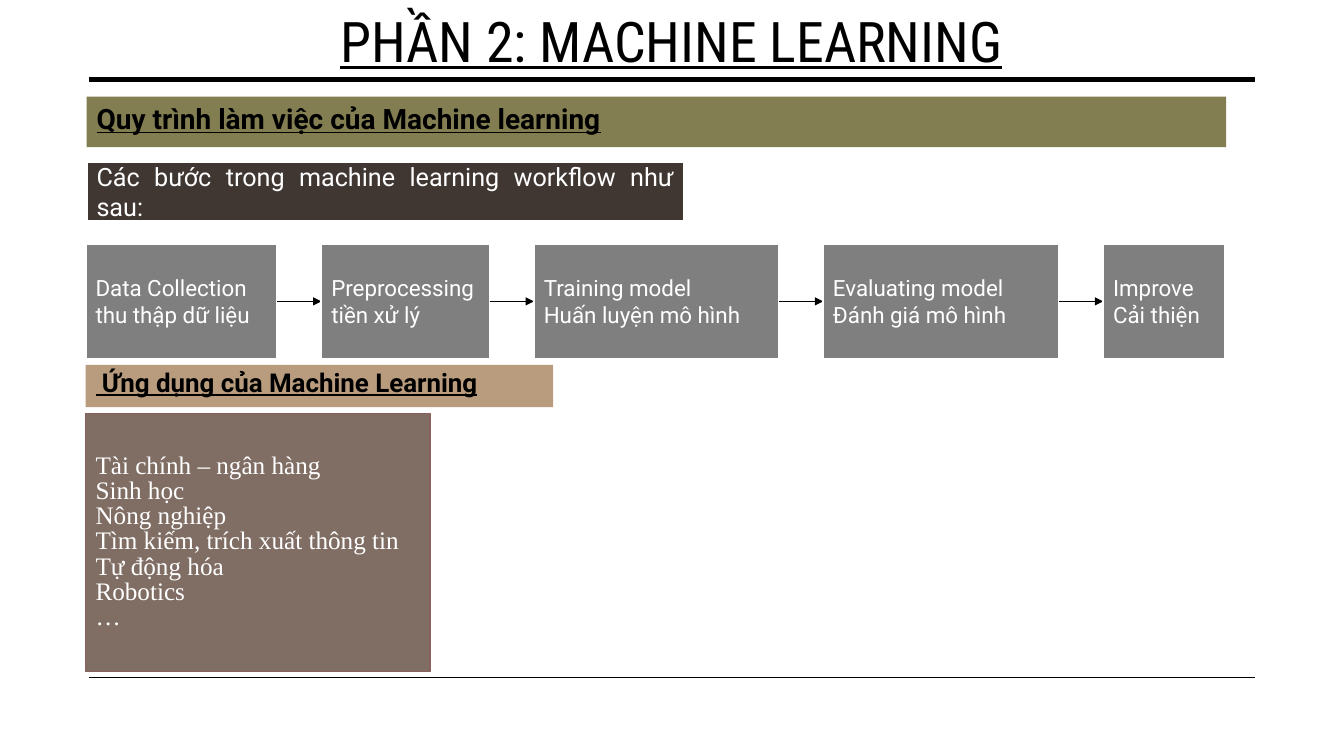
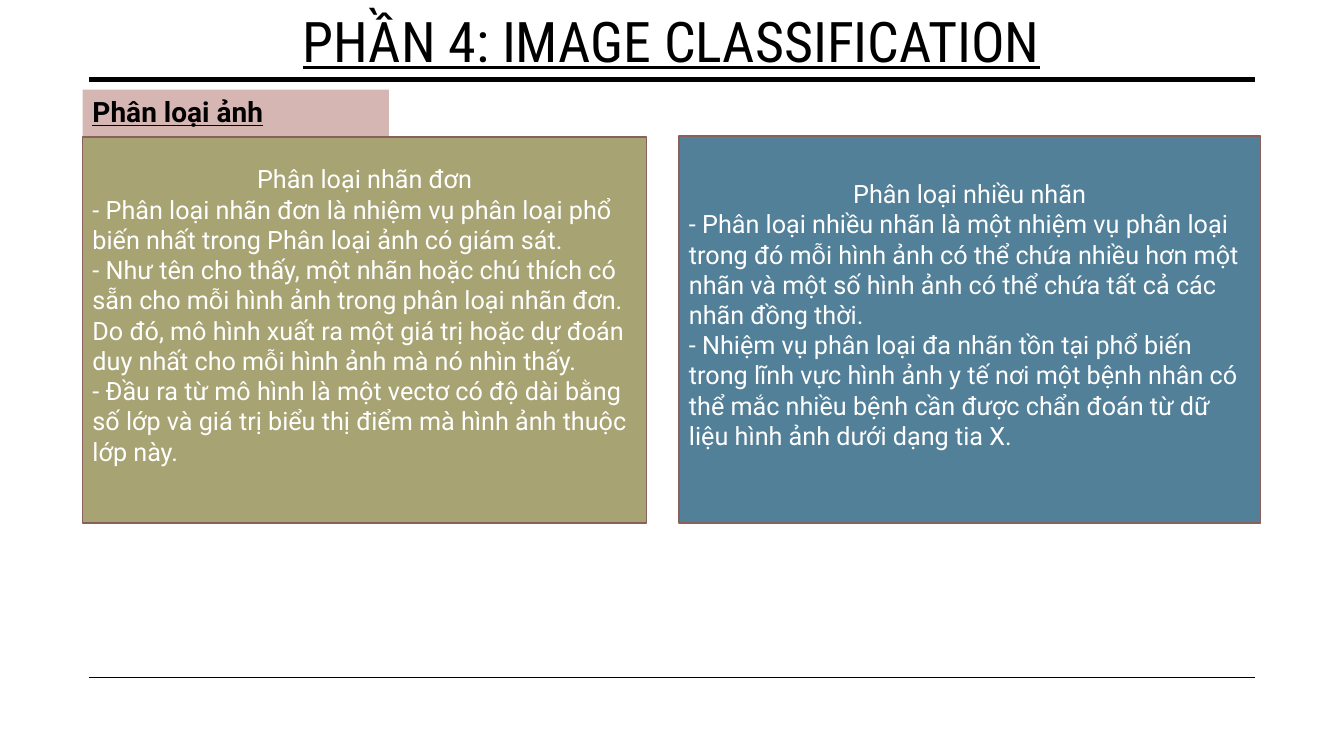
from pptx import Presentation
from pptx import util as u
from pptx.dml.color import RGBColor
from pptx.enum import shapes, text
from pptx.oxml.ns import qn
from lxml import etree

PX = 9144  # EMU, 100 px to the inch
BLACK, WHITE = "000000", "FFFFFF"
STEP_GREY, PANEL_EDGE = "7F7F7F", "88605C"
BODY, TITLE, SERIF = "Roboto", "Roboto Condensed", "Times New Roman"
LEFT, CENTER, JUSTIFY = (text.PP_ALIGN.LEFT, text.PP_ALIGN.CENTER,
                         text.PP_ALIGN.JUSTIFY)
TOP, MIDDLE = text.MSO_ANCHOR.TOP, text.MSO_ANCHOR.MIDDLE


def px(*lengths):
    return [u.Emu(length * PX) for length in lengths]


def rgb(value):
    return RGBColor.from_string(value)


class Deck:
    def __init__(self):
        self.prs = Presentation()
        self.prs.slide_width, self.prs.slide_height = px(1334, 750)
        self.layout = self.prs.slide_layouts[5]
        self.slide = None

    def new_slide(self, title):
        first = self.slide is None
        self.slide = self.prs.slides.add_slide(self.layout)
        if first:
            self.add_layout_rules()
        heading = self.slide.shapes.title
        heading.left, heading.top, heading.width, heading.height = px(
            82, 1, 1169, 150)
        frame = heading.text_frame
        frame.auto_size = text.MSO_AUTO_SIZE.NONE
        frame.vertical_anchor = TOP
        self.add_text(frame.paragraphs[0], title, 40, TITLE, BLACK, CENTER,
                      underline=True)

    def add_layout_rules(self):
        """Draw the header and footer rules, then move them to the layout."""
        for y, weight in ((79, 3.5), (672, 1)):
            rule = self.line(88, y, 1246, y, weight)
            self.layout.shapes.element.append(rule.element)

    def add_text(self, paragraph, words, size, font, color, align,
                 bold=False, underline=False, spacing=1.0):
        paragraph.alignment = align
        paragraph.line_spacing = spacing
        run = paragraph.add_run()
        run.text = words
        run.font.size = u.Pt(size)
        run.font.name = font
        run.font.bold = bold
        run.font.underline = underline
        run.font.color.rgb = rgb(color)

    def box(self, x, y, w, h, fill, edge=None, weight=1.5, anchor=MIDDLE):
        """Add a filled rectangle and return its text frame."""
        rect = self.slide.shapes.add_shape(
            shapes.MSO_SHAPE.RECTANGLE, *px(x, y, w, h))
        rect.shadow.inherit = False
        rect.fill.solid()
        rect.fill.fore_color.rgb = rgb(fill)
        if edge:
            rect.line.color.rgb = rgb(edge)
            rect.line.width = u.Pt(weight)
        else:
            rect.line.fill.background()
        frame = rect.text_frame
        frame.word_wrap = True
        frame.vertical_anchor = anchor
        return frame

    def band(self, x, y, w, h, fill, words, size=20, spacing=1.0):
        """Add a coloured section heading."""
        frame = self.box(x, y, w, h, fill, anchor=TOP)
        self.add_text(frame.paragraphs[0], words, size, BODY, BLACK, JUSTIFY,
                      bold=True, underline=True, spacing=spacing)

    def fill_lines(self, frame, lines, size=18, font=BODY, align=JUSTIFY,
                   first_align=None, spacing=1.0):
        for i, words in enumerate(lines):
            paragraph = frame.add_paragraph() if i else frame.paragraphs[0]
            own_align = align if i or first_align is None else first_align
            self.add_text(paragraph, words, size, font, WHITE, own_align,
                          spacing=spacing)

    def line(self, x1, y1, x2, y2, weight, arrow=False):
        connector = self.slide.shapes.add_connector(
            shapes.MSO_CONNECTOR.STRAIGHT, *px(x1, y1, x2, y2))
        connector.line.color.rgb = rgb(BLACK)
        connector.line.width = u.Pt(weight)
        properties = connector.element.spPr
        if arrow:
            etree.SubElement(properties.find(qn("a:ln")), qn("a:tailEnd"),
                             type="triangle")
        etree.SubElement(properties, qn("a:effectLst"))
        return connector

    def workflow(self, x, y, h, gap, steps):
        """Add a row of step boxes joined by arrows."""
        for i, (w, lines) in enumerate(steps):
            if i:
                middle = y + h // 2
                self.line(x - gap, middle, x, middle, 0.5, arrow=True)
            frame = self.box(x, y, w, h, STEP_GREY, WHITE)
            self.fill_lines(frame, lines, size=16)
            x += w + gap

    def panel(self, x, y, w, h, fill, heading, points):
        """Add a card with a centred heading, its text set above the middle."""
        frame = self.box(x, y, w, h, fill, PANEL_EDGE, 1)
        frame.margin_bottom = px(35)[0]
        self.fill_lines(frame, [heading, *points], align=LEFT,
                        first_align=CENTER)


def machine_learning(deck):
    deck.new_slide("PHẦN 2: MACHINE LEARNING")
    deck.band(86, 96, 1131, 50, "827E51",
              "Quy trình làm việc của Machine learning")
    intro = deck.box(86, 161, 593, 58, "403733", WHITE)
    deck.fill_lines(intro, ["Các bước trong machine learning workflow như sau:"])
    deck.workflow(85, 242, 114, 44, [
        (190, ["Data Collection", "thu thập dữ liệu"]),
        (167, ["Preprocessing tiền xử lý"]),
        (243, ["Training model", "Huấn luyện mô hình"]),
        (234, ["Evaluating model", "Đánh giá mô hình"]),
        (121, ["Improve", "Cải thiện"]),
    ])
    deck.band(85, 362, 464, 42, "B99C7E", " Ứng dụng của Machine Learning",
              size=18.5, spacing=0.9)
    applications = deck.box(85, 410, 342, 256, "806E65", PANEL_EDGE, 1)
    deck.fill_lines(applications, [
        "Tài chính – ngân hàng", "Sinh học", "Nông nghiệp",
        "Tìm kiếm, trích xuất thông tin", "Tự động hóa", "Robotics", "…",
    ], font=SERIF, spacing=u.Pt(18))


def image_classification(deck):
    deck.new_slide("PHẦN 4: IMAGE CLASSIFICATION")
    deck.band(82, 89, 304, 50, "D6B6B2", "Phân loại ảnh")
    deck.panel(82, 136, 560, 383, "A7A372", "Phân loại nhãn đơn", [
        "- Phân loại nhãn đơn là nhiệm vụ phân loại phổ biến nhất trong "
        "Phân loại ảnh có giám sát.",
        "- Như tên cho thấy, một nhãn hoặc chú thích có sẵn cho mỗi hình ảnh "
        "trong phân loại nhãn đơn. Do đó, mô hình xuất ra một giá trị hoặc "
        "dự đoán duy nhất cho mỗi hình ảnh mà nó nhìn thấy.",
        "- Đầu ra từ mô hình là một vectơ có độ dài bằng số lớp và giá trị "
        "biểu thị điểm mà hình ảnh thuộc lớp này.",
    ])
    deck.panel(674, 135, 577, 384, "528099", "Phân loại nhiều nhãn", [
        "- Phân loại nhiều nhãn là một nhiệm vụ phân loại trong đó mỗi hình "
        "ảnh có thể chứa nhiều hơn một nhãn và một số hình ảnh có thể chứa "
        "tất cả các nhãn đồng thời.",
        "- Nhiệm vụ phân loại đa nhãn tồn tại phổ biến trong lĩnh vực hình "
        "ảnh y tế nơi một bệnh nhân có thể mắc nhiều bệnh cần được chẩn đoán "
        "từ dữ liệu hình ảnh dưới dạng tia X.",
    ])


def main():
    deck = Deck()
    machine_learning(deck)
    image_classification(deck)
    deck.prs.save("out.pptx")


if __name__ == "__main__":
    main()
